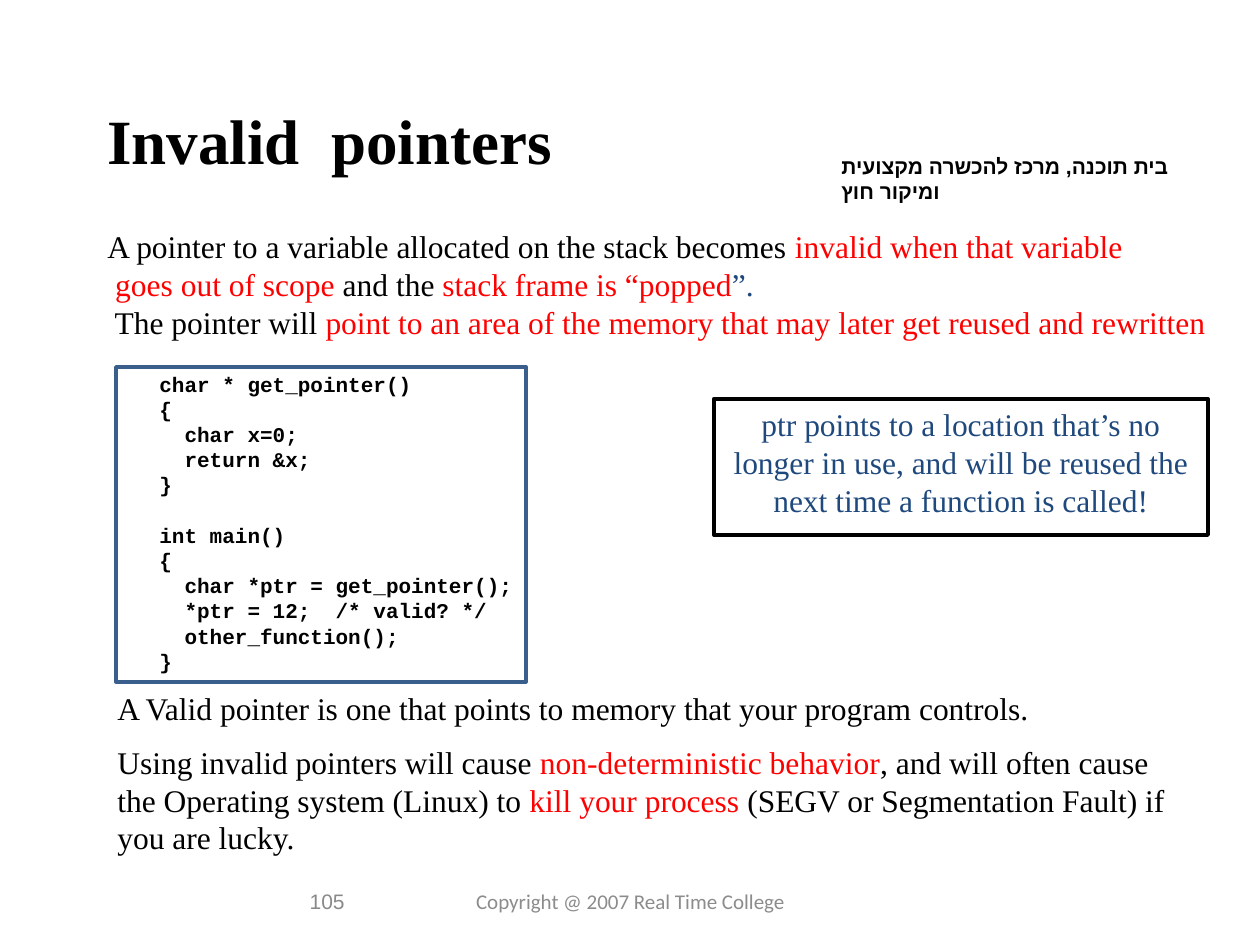
import pptx
import pptx.dml.color
import pptx.enum.shapes
import pptx.enum.text
import pptx.oxml.ns
import pptx.util
from lxml import etree

SCALE = pptx.util.Inches(1) / 126
SERIF = "Times New Roman"
BLACK, RED, NAVY, GREY = "000000", "FF0000", "1F497D", "8C8C8C"
ALIGN = pptx.enum.text.PP_ALIGN
MIDDLE = pptx.enum.text.MSO_ANCHOR.MIDDLE

CODE = """char * get_pointer()
{
  char x=0;
  return &x;
}

int main()
{
  char *ptr = get_pointer();
  *ptr = 12;  /* valid? */
  other_function();
}"""

SCOPE = [
    [("A pointer to a variable allocated on the stack becomes ", BLACK),
     ("invalid when that variable", RED)],
    [(" goes out of scope ", RED), ("and the ", BLACK),
     ("stack frame is “popped", RED), ("”.", NAVY)],
    [(" The pointer will ", BLACK),
     ("point to an area of the memory that may later get reused and rewritten", RED)],
]

VALIDITY = [
    ["A Valid pointer is one that points to memory that your program controls."],
    [("Using invalid pointers will cause ", BLACK),
     ("non-deterministic behavior", RED),
     (", and will often cause the Operating system (Linux) to ", BLACK),
     ("kill your process", RED),
     (" (SEGV or Segmentation Fault) if you are lucky.", BLACK)],
]


def px(length):
    return round(length * SCALE)


def color(value):
    return pptx.dml.color.RGBColor.from_string(value)


def write(box, text, size=18, font=SERIF, ink=BLACK, bold=False, align=None,
          anchor=None, wrap=True, gap=0, rtl=False):
    """Fill a box from a string, or from paragraphs made of spans."""
    frame = box.text_frame
    frame.word_wrap = wrap
    frame.vertical_anchor = anchor or pptx.enum.text.MSO_ANCHOR.TOP
    paragraphs = [[line] for line in text.split("\n")] if isinstance(text, str) else text
    for index, spans in enumerate(paragraphs):
        para = frame.paragraphs[0] if index == 0 else frame.add_paragraph()
        para.alignment = align
        para.line_spacing = pptx.util.Pt(size * 1.2)
        para.space_before = pptx.util.Pt(gap if index else 0)
        para.font.size = pptx.util.Pt(size)
        if rtl:
            para._p.get_or_add_pPr().set("rtl", "1")
        for item in spans:
            words, shade = (item, ink) if isinstance(item, str) else item
            span = para.add_run()
            span.text = words
            span.font.size = pptx.util.Pt(size)
            span.font.name = font
            span.font.bold = bold
            span.font.color.rgb = color(shade)
            if rtl:
                script_font = etree.SubElement(span._r.rPr, pptx.oxml.ns.qn("a:cs"))
                script_font.set("typeface", font)


def add_text(page, place, text, **style):
    box = page.shapes.add_textbox(*map(px, place))
    write(box, text, **style)


def add_box(page, place, fill=None, line=None, width=0):
    box = page.shapes.add_shape(
        pptx.enum.shapes.MSO_SHAPE.RECTANGLE, *map(px, place))
    box.shadow.inherit = False
    if fill:
        box.fill.solid()
        box.fill.fore_color.rgb = color(fill)
    else:
        box.fill.background()
    if line:
        box.line.color.rgb = color(line)
        box.line.width = pptx.util.Pt(width)
    else:
        box.line.fill.background()
    return box


def main():
    deck = pptx.Presentation()
    deck.slide_width, deck.slide_height = px(1260), px(945)
    page = deck.slides.add_slide(deck.slide_layouts[6])

    # School tagline and footer
    add_text(page, (829, 147, 387, 38), "בית תוכנה, מרכז להכשרה מקצועית ומיקור חוץ",
             size=12, font="Arial", bold=True, rtl=True)
    add_text(page, (431, 876, 399, 50), "Copyright @ 2007 Real Time College",
             size=12, font="Calibri", ink=GREY, align=ALIGN.CENTER, anchor=MIDDLE)
    add_text(page, (63, 876, 294, 50), "105", size=12, font="Arial",
             ink="898989", align=ALIGN.RIGHT, anchor=MIDDLE)

    # Code listing
    listing = add_box(page, (147, 365, 483, 315), fill="FFFFFF")
    write(listing, CODE, size=12, font="Courier New", bold=True, align=ALIGN.LEFT)

    # Callout
    callout = add_box(page, (714, 399, 494, 136), line=BLACK, width=2.25)
    write(callout, "ptr points to a location that’s no longer in use, and will be "
          "reused the next time a function is called!", ink=NAVY, align=ALIGN.CENTER)

    # Title and explanations
    add_text(page, (95, 95, 1165, 88), "Invalid  pointers", size=36, bold=True)
    add_text(page, (95, 221, 1125, 126), SCOPE, wrap=False)
    add_text(page, (105, 683, 1092, 184), VALIDITY, gap=9)

    # Frame around the code
    add_box(page, (116, 367, 410, 315), line="3A5F8C", width=2)

    deck.save("out.pptx")


if __name__ == "__main__":
    main()
